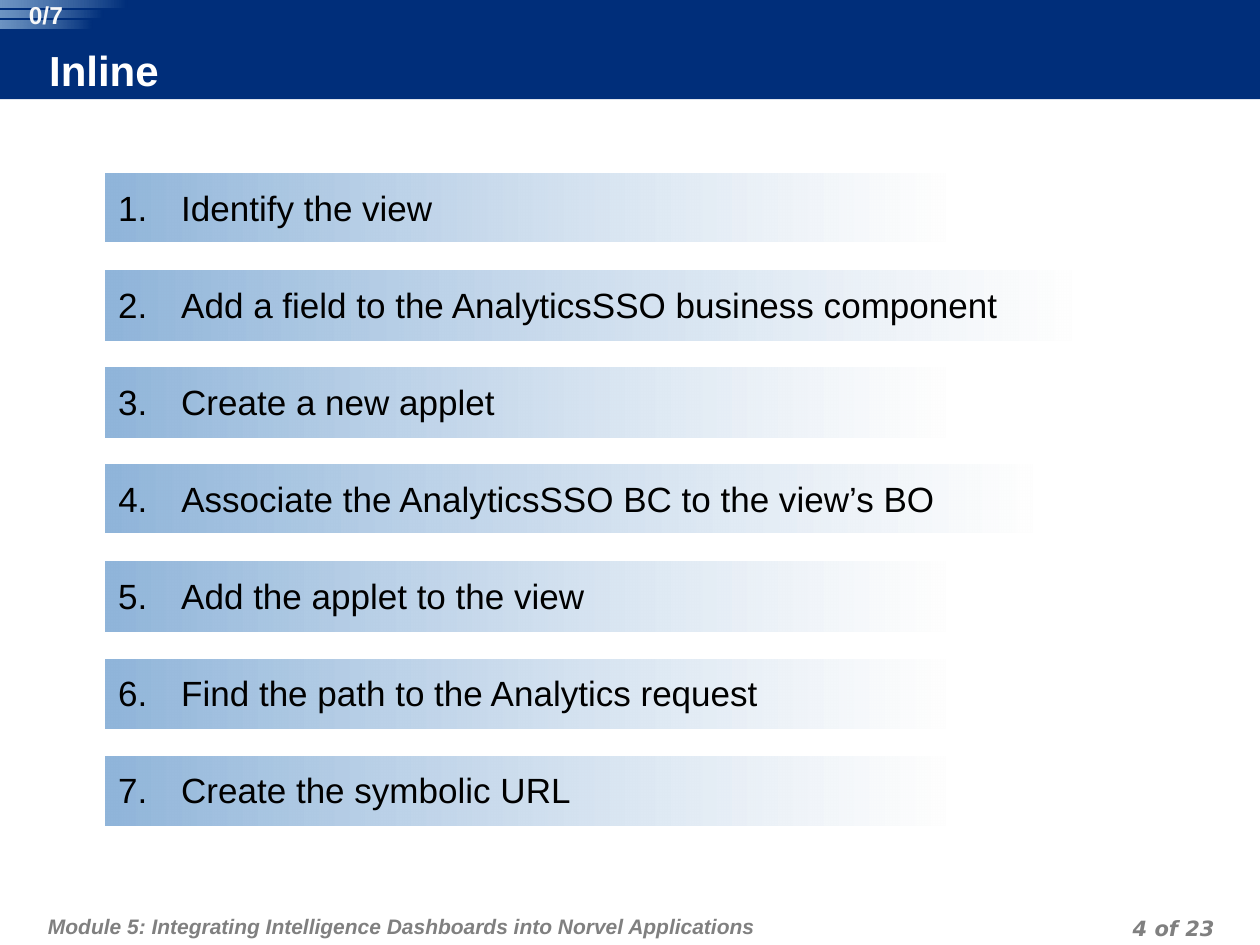
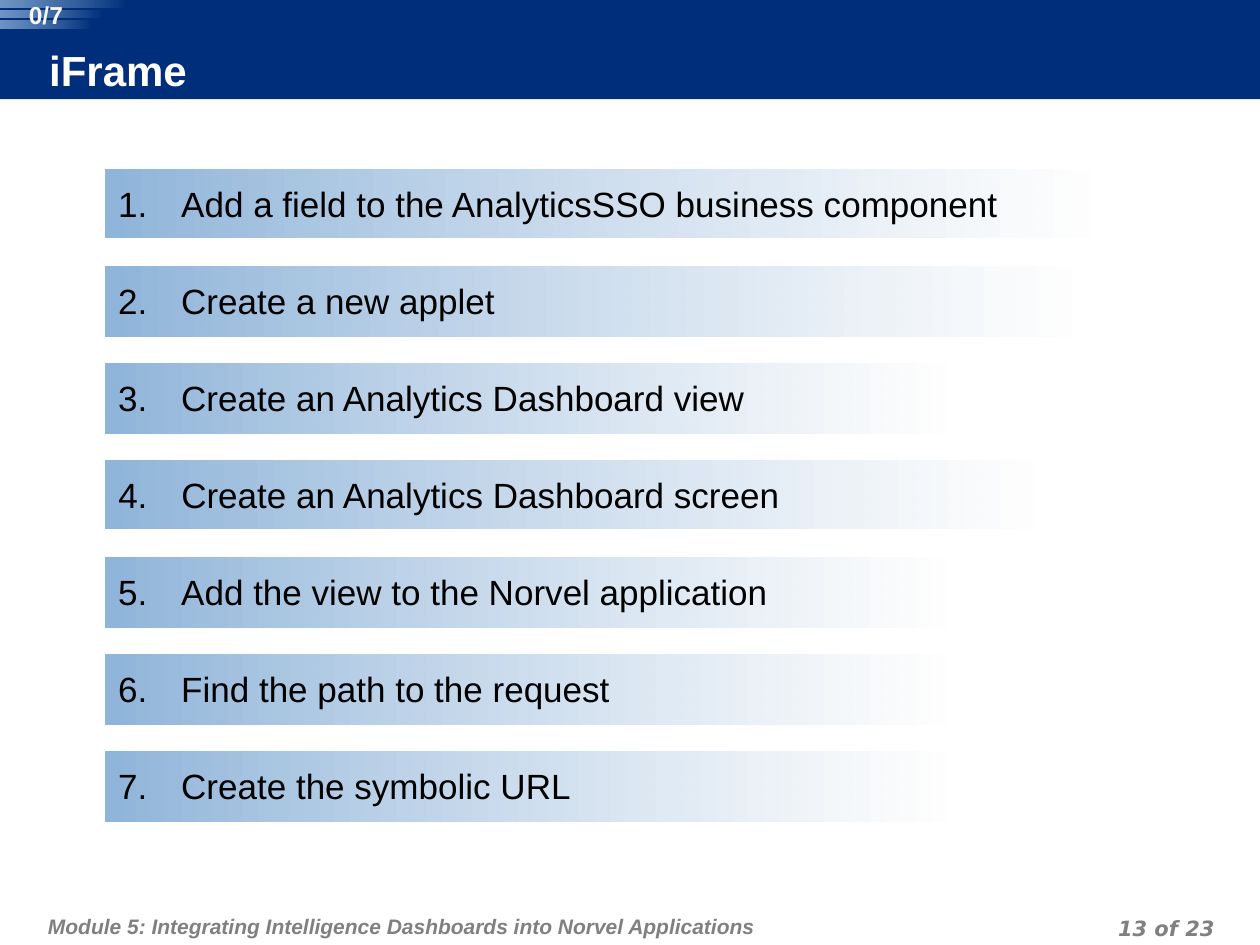
from lxml.etree import SubElement
from pptx import Presentation
from pptx.dml.color import RGBColor
from pptx.enum.shapes import MSO_SHAPE
from pptx.enum.text import MSO_ANCHOR, MSO_AUTO_SIZE, PP_ALIGN
from pptx.oxml.ns import qn
from pptx.util import Pt

# Shared colours, fonts and texts
NAVY = RGBColor(0x00, 0x2E, 0x7A)
SKY = RGBColor(0x90, 0xB5, 0xDA)
PALE = RGBColor(0xFE, 0xFE, 0xFE)
WHITE = RGBColor(0xFF, 0xFF, 0xFF)
COUNTER_WHITE = RGBColor(0xF8, 0xF8, 0xF8)
BLACK = RGBColor(0x00, 0x00, 0x00)
GREY = RGBColor(0x80, 0x80, 0x80)
FONT = "Arial"
NUMBER_FONT = "DejaVu Sans"
MODULE = "Module 5: Integrating Intelligence Dashboards into Norvel Applications"
SLIDE_COUNT = 23

# Shared geometry, in points
SLIDE_WIDTH, SLIDE_HEIGHT = 720, 540
STEP_LEFT, STEP_PITCH = 60.5, 55.44
STEP_HEIGHTS = (38.5, 39.6, 39.6, 38.5, 39.6, 39.6, 39.6)
COUNTER_BARS = ((0, 72.7, 4.3), (5.8, 59, 4.3), (11.5, 52.6, 5))  # top, width, height

# Title, slide number, top of the first step, then each step and its width
LESSONS = (
    ("Inline", 4, 99.4, (
        ("Identify the view", 479.5),
        ("Add a field to the AnalyticsSSO business component", 551.5),
        ("Create a new applet", 479.5),
        ("Associate the AnalyticsSSO BC to the view’s BO", 529.2),
        ("Add the applet to the view", 479.5),
        ("Find the path to the Analytics request", 479.5),
        ("Create the symbolic URL", 479.5),
    )),
    ("iFrame", 13, 97, (
        ("Add a field to the AnalyticsSSO business component", 561.6),
        ("Create a new applet", 551.5),
        ("Create an Analytics Dashboard view", 479.5),
        ("Create an Analytics Dashboard screen", 529.2),
        ("Add the view to the Norvel application", 479.5),
        ("Find the path to the request", 479.5),
        ("Create the symbolic URL", 479.5),
    )),
)


def place(part, left, top, width, height):
    part.left, part.top = Pt(left), Pt(top)
    part.width, part.height = Pt(width), Pt(height)


def add_block(shapes, kind, left, top, width, height):
    """Add a preset shape without line or shadow."""
    block = shapes.add_shape(kind, Pt(left), Pt(top), Pt(width), Pt(height))
    block.shadow.inherit = False
    block.line.fill.background()
    return block


def add_fading_bar(shapes, left, top, width, height, right_end, left_end):
    """Add a bar whose ends are (colour, opacity in percent)."""
    bar = add_block(shapes, MSO_SHAPE.ROUNDED_RECTANGLE, left, top, width, height)
    bar.adjustments[0] = 0
    bar.fill.gradient()
    bar.fill.gradient_angle = 180
    ends = (right_end, left_end)
    for stop, (colour, _) in zip(bar.fill.gradient_stops, ends):
        stop.color.rgb = colour
    for tint, (_, opacity) in zip(bar.element.spPr.iter(qn("a:srgbClr")), ends):
        if opacity < 100:
            SubElement(tint, qn("a:alpha"), val=str(opacity * 1000))
    return bar


def set_text(frame, text, insets, size, colour, font=FONT, bold=True,
             italic=False, align=PP_ALIGN.LEFT, anchor=MSO_ANCHOR.TOP):
    """Fill a frame with one formatted paragraph and return it."""
    frame.margin_left, frame.margin_top, frame.margin_right, frame.margin_bottom = map(Pt, insets)
    frame.word_wrap = True
    frame.auto_size = MSO_AUTO_SIZE.NONE
    frame.vertical_anchor = anchor
    frame.text = text
    paragraph = frame.paragraphs[0]
    paragraph.alignment = align
    for run in paragraph.runs:
        run.font.name, run.font.size = font, Pt(size)
        run.font.bold, run.font.italic = bold, italic
        run.font.color.rgb = colour
    return paragraph


def add_header(slide, title_text):
    """Navy band across the top with the title inside it."""
    band = add_block(slide.shapes, MSO_SHAPE.RECTANGLE, 0, 0, SLIDE_WIDTH, 56.7)
    band.fill.solid()
    band.fill.fore_color.rgb = NAVY
    title = slide.shapes.title
    place(title, 28.1, 27.4, 566.6, 28.8)
    title.fill.solid()
    title.fill.fore_color.rgb = NAVY
    set_text(title.text_frame, title_text, (0, 0, 3.6, 3.6), 24, WHITE,
             anchor=MSO_ANCHOR.MIDDLE)
    band.element.getparent().append(title.element)  # title in front of the band


def add_counter(slide, left, top, progress):
    """Progress counter over three fading bars."""
    counter = slide.shapes.add_group_shape()
    for offset, width, height in COUNTER_BARS:
        add_fading_bar(counter.shapes, left, top + offset, width, height,
                       (NAVY, 100), (SKY, 76))
    label = counter.shapes.add_textbox(Pt(left + 7.9), Pt(top), Pt(36.7), Pt(16.6))
    set_text(label.text_frame, progress, (0, 0, 0, 0), 14, COUNTER_WHITE,
             align=PP_ALIGN.CENTER)


def number_step(paragraph, number):
    """Give a paragraph a hanging automatic number."""
    properties = paragraph._p.get_or_add_pPr()
    properties.set("marL", str(Pt(36)))
    properties.set("indent", str(-Pt(36)))
    bullet_colour = SubElement(properties, qn("a:buClr"))
    SubElement(bullet_colour, qn("a:srgbClr"), val=str(BLACK))
    SubElement(properties, qn("a:buFont"), typeface=FONT)
    SubElement(properties, qn("a:buAutoNum"), type="arabicPeriod", startAt=str(number))


def add_steps(slide, left, top, steps):
    """Numbered steps, one fading bar each, at an even pitch."""
    for index, ((step, width), height) in enumerate(zip(steps, STEP_HEIGHTS)):
        bar = add_fading_bar(slide.shapes, left, top + index * STEP_PITCH, width, height,
                             (PALE, 75), (SKY, 100))
        paragraph = set_text(bar.text_frame, step, (7.2, 7.2, 7.2, 3.6), 20, BLACK,
                             bold=False)
        number_step(paragraph, index + 1)


def add_footer(slide, number):
    """Module name on the left, slide number on the right."""
    module = slide.shapes.add_textbox(Pt(23.8), Pt(511.2), Pt(445), Pt(28.8))
    page = slide.shapes.add_textbox(Pt(529.9), Pt(519.8), Pt(167.8), Pt(18))
    lines = (
        set_text(module.text_frame, MODULE, (3.6, 7.2, 3.6, 3.6), 12, GREY, italic=True),
        set_text(page.text_frame, f"{number} of {SLIDE_COUNT}", (3.6, 0, 3.6, 0), 12, GREY,
                 font=NUMBER_FONT, italic=True, align=PP_ALIGN.RIGHT),
    )
    for line in lines:
        line.line_spacing = Pt(18)


def add_lesson(deck, title, number, steps_top, steps):
    slide = deck.slides.add_slide(deck.slide_layouts[5])
    add_header(slide, title)
    add_footer(slide, number)
    add_counter(slide, 0, 0, f"0/{len(steps)}")
    add_steps(slide, STEP_LEFT, steps_top, steps)


def main():
    deck = Presentation()
    deck.slide_width, deck.slide_height = Pt(SLIDE_WIDTH), Pt(SLIDE_HEIGHT)
    for lesson in LESSONS:
        add_lesson(deck, *lesson)
    deck.save("out.pptx")


if __name__ == "__main__":
    main()
